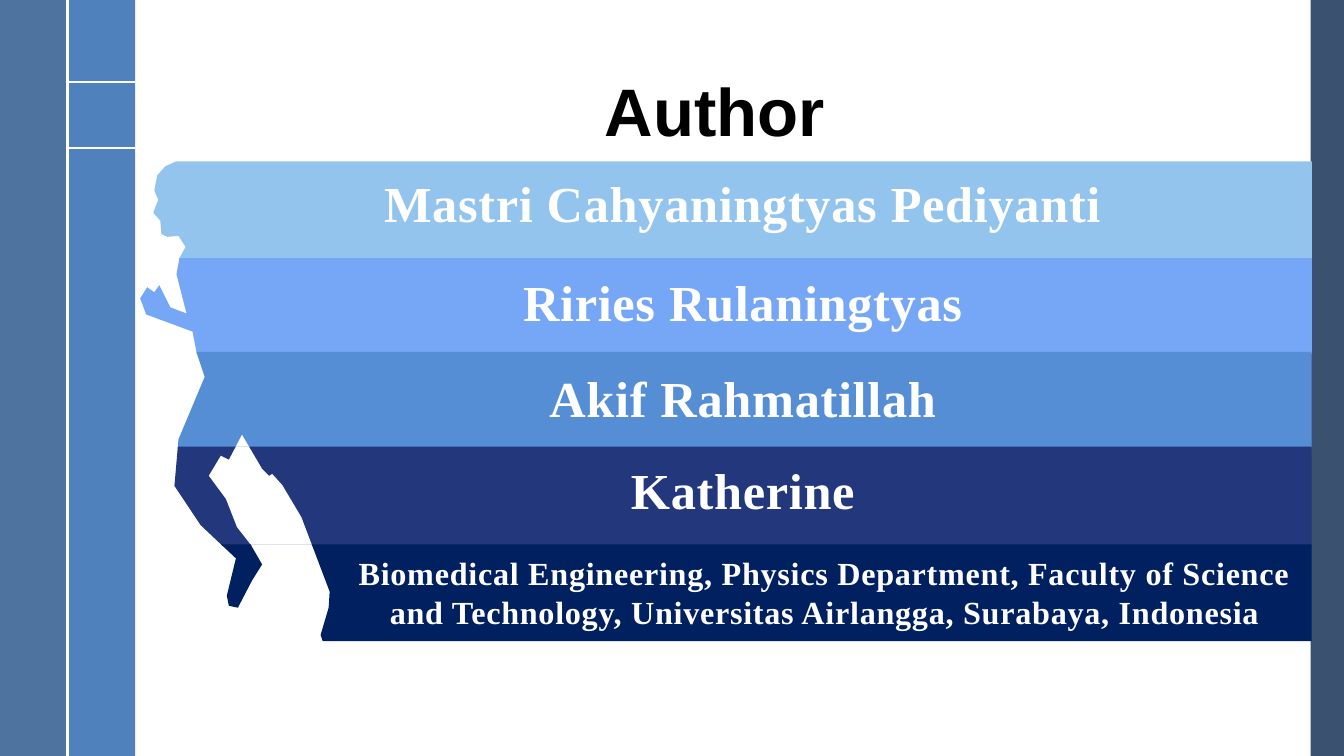
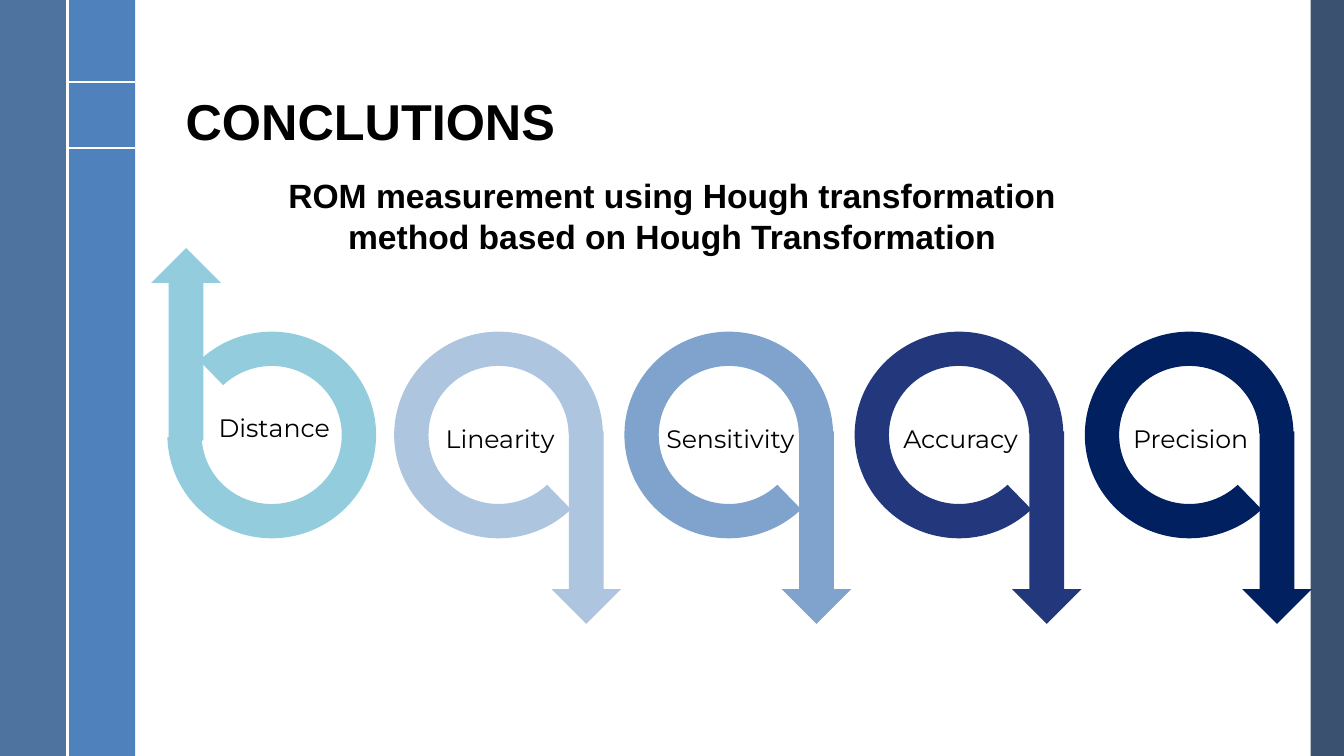
from itertools import chain

from lxml import etree
from pptx import Presentation
from pptx.dml.color import RGBColor
from pptx.enum.shapes import MSO_CONNECTOR as CONN, MSO_SHAPE as SHAPE
from pptx.enum.text import MSO_ANCHOR as ANCHOR, PP_ALIGN as ALIGN
from pptx.oxml.ns import qn
from pptx.util import Inches, Pt

WHITE = RGBColor(0xFF, 0xFF, 0xFF)
BLACK = RGBColor(0x00, 0x00, 0x00)
RIGHT_BAND = RGBColor(0x25, 0x40, 0x61)
INNER_BAND = RGBColor(0x4F, 0x81, 0xBD)
OUTER_BAND = RGBColor(0x37, 0x60, 0x92)
SKY = RGBColor(0x93, 0xC4, 0xED)
CORNFLOWER = RGBColor(0x76, 0xA7, 0xF6)
BLUE = RGBColor(0x55, 0x8E, 0xD5)
INDIGO = RGBColor(0x22, 0x37, 0x7C)
NAVY = RGBColor(0x00, 0x20, 0x60)
AQUA = RGBColor(0x93, 0xCD, 0xDD)
MIST = RGBColor(0xAE, 0xC5, 0xE0)
STEEL = RGBColor(0x80, 0xA3, 0xCE)
SERIF, SANS, LABEL_FONT = "Times New Roman", "Arial", "Montserrat"

# Shared frame: left, top, width, height, colour, opacity in percent
SLIDE_W, SLIDE_H = 13.33, 7.5
SIDE_BANDS = [
    (13, 0, 0.33, SLIDE_H, RIGHT_BAND, 90),
    (0.67, 0, 0.67, SLIDE_H, INNER_BAND, 100),
    (0, 0, 0.67, SLIDE_H, OUTER_BAND, 88),
]
RULES = [(0.67, 0.81, 1.34, 0.81), (0.67, 1.47, 1.34, 1.47), (0.67, 0, 0.67, SLIDE_H)]
TITLE_BOX = (1.74, 0.19, 10.7, 1.36)

# Authors: name and the middle height of its line
AUTHORS = [
    ("Mastri Cahyaningtyas Pediyanti", 2.05),
    ("Riries Rulaningtyas", 3.03),
    ("Akif Rahmatillah", 3.98),
    ("Katherine", 4.89),
]
NAME_LEFT, NAME_W, NAME_H = 2.02, 10.7, 0.94
AFFILIATION = ("Biomedical Engineering, Physics Department, Faculty of Science "
               "and Technology, Universitas Airlangga, Surabaya, Indonesia")

# One silhouette, traced from the forehead down to the back foot,
# is cut into stripes at these heights
STRIPE_COLORS = [SKY, CORNFLOWER, BLUE, INDIGO, NAVY]
STRIPE_EDGES = [1.6, 2.56, 3.49, 4.43, 5.4, 6.36]
STRIPE_RIGHT = 13.01
STRIPE_OVERLAP = 0.02
RUNNER = {
    "face": [(1.75, 1.6), (1.64, 1.65), (1.56, 1.74), (1.53, 1.89), (1.57, 1.98),
             (1.52, 2.11), (1.59, 2.19), (1.6, 2.32), (1.66, 2.35), (1.77, 2.34),
             (1.84, 2.45)],
    "arm": [(1.78, 2.56), (1.75, 2.72), (1.85, 3.11), (1.69, 3.05), (1.58, 2.83),
            (1.53, 2.9), (1.46, 2.85), (1.39, 2.96), (1.45, 3.12), (1.91, 3.29)],
    "front leg": [(1.95, 3.5), (2.03, 3.74), (1.77, 4.36), (1.73, 4.82), (1.99, 5.21),
                  (2.34, 5.54)],
    "front foot": [(2.25, 5.91), (2.27, 6.01), (2.36, 6.03), (2.5, 5.76), (2.6, 5.6)],
    "front calf": [(2.49, 5.41), (2.35, 5.23), (2.24, 4.95), (2.07, 4.72), (2.19, 4.52),
                   (2.27, 4.56)],
    "back leg": [(2.4, 4.31), (2.6, 4.65), (2.67, 4.72), (2.7, 4.7), (2.8, 4.81),
                 (2.99, 5.13)],
    "back foot": [(3.27, 5.87), (3.26, 6.03), (3.18, 6.3), (3.2, 6.36)],
}

# Conclusions: each loop is a ring with an arrow, placed from the ring's left and top
SUMMARY = "ROM measurement using Hough transformation method based on Hough Transformation"
UP_LOOP = ("Distance", AQUA)
DOWN_LOOPS = [("Linearity", MIST), ("Sensitivity", STEEL), ("Accuracy", INDIGO),
              ("Precision", NAVY)]
UP_LEFT, FIRST_LEFT, LAST_LEFT = 1.66, 3.91, 10.76
LOOP_TOP = 3.29
RING_W, RING_H, RING_THICKNESS = 2.07, 2.05, 0.34
RING_START, RING_END = 45.75, 358.78
ARROW_W, ARROW_H = 0.69, 1.91
LABEL_W, LABEL_H = 1.66, 0.4
ADJUST_PER_DEGREE = 0.6  # 60000 angle units per degree, 100000 per adjustment


def paint(s, color, opacity=100):
    s.shadow.inherit = False
    s.fill.solid()
    s.fill.fore_color.rgb = color
    s.line.fill.background()
    if opacity < 100:
        clr = s._element.spPr.find(qn("a:solidFill"))[0]
        etree.SubElement(clr, qn("a:alpha")).set("val", str(opacity * 1000))
    return s


def add_shape(slide, kind, box, color, opacity=100):
    s = slide.shapes.add_shape(kind, *map(Inches, box))
    return paint(s, color, opacity)


def write(tf, text, size, font, color, bold=True, align=ALIGN.CENTER, leading=None, spacing=0):
    p = tf.paragraphs[0]
    p.alignment = align
    if leading:
        p.line_spacing = leading
    r = p.add_run()
    r.text = text
    r.font.size, r.font.name, r.font.bold = Pt(size), font, bold
    r.font.color.rgb = color
    if spacing:
        r._r.get_or_add_rPr().set("spc", str(spacing))


def add_text(slide, box, text, *style, anchor=ANCHOR.TOP, **options):
    tf = slide.shapes.add_textbox(*map(Inches, box)).text_frame
    tf.word_wrap = True
    tf.vertical_anchor = anchor
    write(tf, text, *style, **options)


def add_frame(slide, layout):
    """Draw the bands and rules, then hand them to the shared layout."""
    parts = [add_shape(slide, SHAPE.RECTANGLE, box, color, opacity)
             for *box, color, opacity in SIDE_BANDS]
    for ends in RULES:
        line = slide.shapes.add_connector(CONN.STRAIGHT, *map(Inches, ends))
        line.line.color.rgb = WHITE
        line.line.width = Pt(1.5)
        etree.SubElement(line._element.spPr, qn("a:effectLst"))
        parts.append(line)
    for s in parts:
        layout.shapes._spTree.append(s._element)


def add_slide(prs, layout, title, size, align):
    slide = prs.slides.add_slide(layout)
    write(slide.shapes.title.text_frame, title, size, SANS, BLACK, align=align, leading=0.9)
    return slide


def cut(outline, height, side):
    """Keep the part of an outline below (side 1) or above (side -1) a height."""
    kept = []
    for (x0, y0), (x1, y1) in zip(outline[-1:] + outline[:-1], outline):
        was_inside = (y0 - height) * side >= 0
        is_inside = (y1 - height) * side >= 0
        if was_inside != is_inside:
            kept.append((x0 + (x1 - x0) * (height - y0) / (y1 - y0), height))
        if is_inside:
            kept.append((x1, y1))
    return kept


def add_striped_runner(slide):
    top, bottom = STRIPE_EDGES[0], STRIPE_EDGES[-1]
    silhouette = [*chain.from_iterable(RUNNER.values()),
                  (STRIPE_RIGHT, bottom), (STRIPE_RIGHT, top)]
    for color, upper, lower in zip(STRIPE_COLORS, STRIPE_EDGES, STRIPE_EDGES[1:]):
        stripe = cut(cut(silhouette, upper, 1), lower + STRIPE_OVERLAP, -1)
        start, *rest = [(Inches(x), Inches(y)) for x, y in stripe]
        builder = slide.shapes.build_freeform(*start)
        builder.add_line_segments(rest, close=True)
        paint(builder.convert_to_shape(), color)


def add_loop(slide, name, color, left, arrow, label, turn=0):
    ring = add_shape(slide, SHAPE.BLOCK_ARC, (left, LOOP_TOP, RING_W, RING_H), color)
    ring.adjustments[0] = RING_START * ADJUST_PER_DEGREE
    ring.adjustments[1] = RING_END * ADJUST_PER_DEGREE
    ring.adjustments[2] = RING_THICKNESS / RING_H
    arrow_box = (left + arrow[0], LOOP_TOP + arrow[1], ARROW_W, ARROW_H)
    tail = add_shape(slide, SHAPE.DOWN_ARROW, arrow_box, color)
    ring.rotation = tail.rotation = turn
    label_box = (left + label[0], LOOP_TOP + label[1], LABEL_W, LABEL_H)
    add_text(slide, label_box, name, 18, LABEL_FONT, BLACK, bold=False)


def build_authors(prs, layout):
    slide = add_slide(prs, layout, "Author", 48, ALIGN.CENTER)
    add_frame(slide, layout)
    add_striped_runner(slide)
    for name, middle in AUTHORS:
        add_text(slide, (NAME_LEFT, middle - NAME_H / 2, NAME_W, NAME_H), name,
                 36, SERIF, WHITE, anchor=ANCHOR.MIDDLE, leading=0.9, spacing=50)
    add_text(slide, (3.25, 5.44, 9.87, 0.91), AFFILIATION, 23, SERIF, WHITE, spacing=50)


def build_conclusions(prs, layout):
    slide = add_slide(prs, layout, "CONCLUTIONS", 36, ALIGN.LEFT)
    add_loop(slide, *UP_LOOP, UP_LEFT, arrow=(-0.16, -0.83), label=(0.23, 0.75), turn=180)
    pitch = (LAST_LEFT - FIRST_LEFT) / (len(DOWN_LOOPS) - 1)
    for i, (name, color) in enumerate(DOWN_LOOPS):
        add_loop(slide, name, color, FIRST_LEFT + i * pitch, arrow=(1.56, 0.99),
                 label=(0.22, 0.86))
    add_text(slide, (2.49, 1.69, 8.35, 0.91), SUMMARY, 24, SANS, BLACK)


def main():
    prs = Presentation()
    prs.slide_width, prs.slide_height = Inches(SLIDE_W), Inches(SLIDE_H)
    layout = prs.slide_layouts.get_by_name("Title Only")
    title = layout.placeholders[0]
    title.left, title.top, title.width, title.height = map(Inches, TITLE_BOX)
    title.text_frame.vertical_anchor = ANCHOR.BOTTOM
    build_authors(prs, layout)
    build_conclusions(prs, layout)
    prs.save("out.pptx")


if __name__ == "__main__":
    main()
